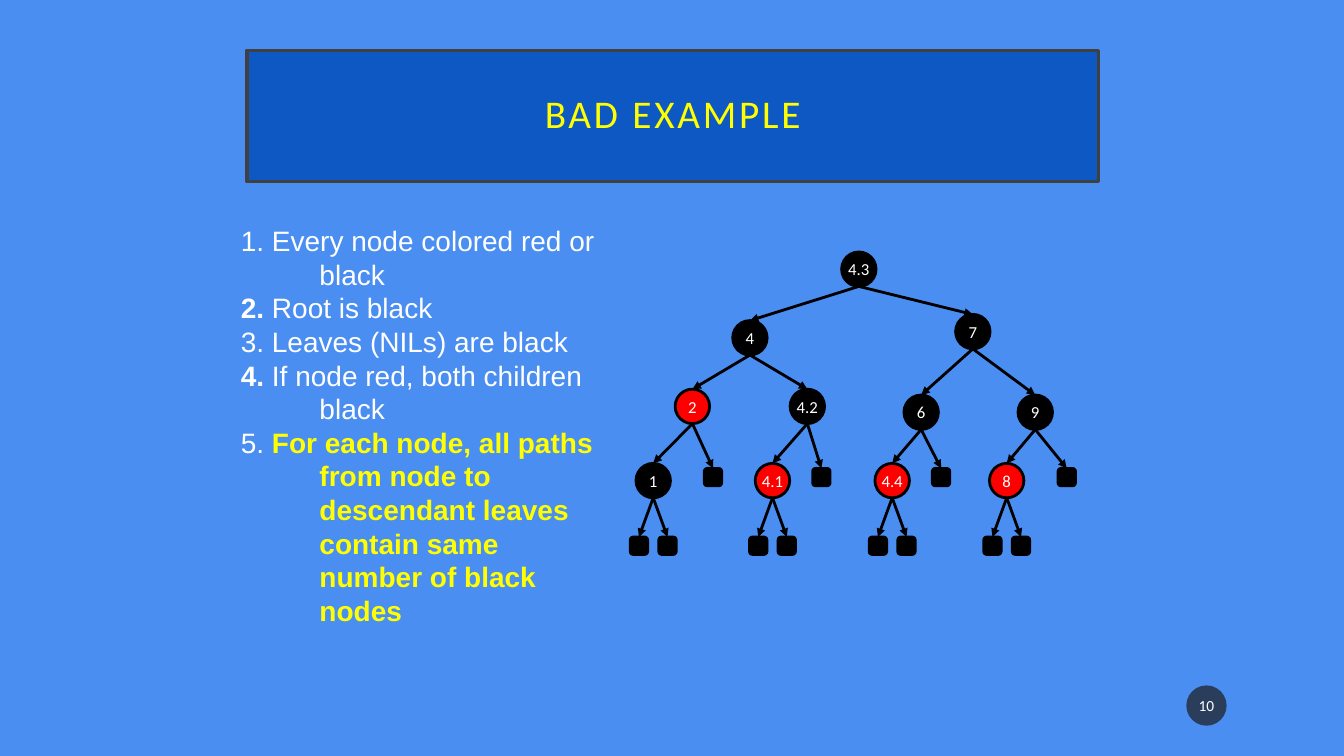
from lxml import etree
from pptx import Presentation
from pptx.dml.color import RGBColor
from pptx.enum.shapes import MSO_CONNECTOR, MSO_SHAPE
from pptx.enum.text import MSO_ANCHOR, PP_ALIGN
from pptx.oxml.ns import qn
from pptx.util import Pt

RECTANGLE, ROUNDED, OVAL = MSO_SHAPE.RECTANGLE, MSO_SHAPE.ROUNDED_RECTANGLE, MSO_SHAPE.OVAL
STRAIGHT = MSO_CONNECTOR.STRAIGHT
MIDDLE, TOP = MSO_ANCHOR.MIDDLE, MSO_ANCHOR.TOP
CENTER, LEFT = PP_ALIGN.CENTER, PP_ALIGN.LEFT

BLACK, RED, WHITE, YELLOW = "000000", "FF0000", "FFFFFF", "FFFF00"
NODE_SIZE, LEAF_SIZE = 24.6, 12.4

# Tree nodes: label, centre x, top, fill
NODES = [
    ("4.3", 613.5, 180, BLACK),
    ("4", 535.7, 229, BLACK), ("7", 694.9, 224.6, BLACK),
    ("2", 494.6, 278, RED), ("4.2", 576.7, 278, BLACK),
    ("6", 658, 282.2, BLACK), ("9", 739.5, 282.2, BLACK),
    ("1", 466.6, 331, BLACK), ("4.1", 551.8, 331, RED),
    ("4.4", 637.3, 331, RED), ("8", 719.1, 331, RED),
]
EDGES = [("4.3", "4"), ("4.3", "7"), ("4", "2"), ("4", "4.2"), ("7", "6"),
         ("7", "9"), ("2", "1"), ("4.2", "4.1"), ("6", "4.4"), ("9", "8")]

# Empty leaves: parent, centre x, top
LEAVES = [("2", 509.3, 334.6), ("4.2", 586.7, 334.6),
          ("6", 672.2, 334.6), ("9", 762, 334.6)]
BOTTOM_PARENTS = ("1", "4.1", "4.4", "8")
BOTTOM_LEAF_TOP, BOTTOM_LEAF_OFFSET = 383.6, 10.2

# Rules: spans of text with their own format
RULES = [
    [("1. Every node colored red or black", {})],
    [("2. ", {"bold": True}), ("Root is black", {})],
    [("3. Leaves (NILs) are black", {})],
    [("4. ", {"bold": True}), ("If node red, both children black", {})],
    [("5. ", {}),
     ("For each node, all paths from node to descendant leaves contain "
      "same number of black nodes", {"bold": True, "color": YELLOW})],
]


def rgb(value):
    return RGBColor.from_string(value)


def write(para, text, font="Calibri", size=12, color=WHITE, bold=False, tracking=0):
    span = para.add_run()
    span.text = text
    span.font.name = font
    span.font.size = Pt(size)
    span.font.bold = bold
    span.font.color.rgb = rgb(color)
    if tracking:
        span.font._element.set("spc", str(tracking * 100))


class TreeSlide:
    """Holds the page and the style shared by its elements."""

    def __init__(self, page, background, line_width=2):
        self.page = page
        self.line_width = line_width
        page.background.fill.solid()
        page.background.fill.fore_color.rgb = rgb(background)

    def shape(self, kind, left, top, width, height, fill, line=None, line_width=None):
        box = self.page.shapes.add_shape(kind, Pt(left), Pt(top), Pt(width), Pt(height))
        box.shadow.inherit = False
        box.fill.solid()
        box.fill.fore_color.rgb = rgb(fill)
        if line:
            box.line.color.rgb = rgb(line)
            box.line.width = Pt(line_width or self.line_width)
        else:
            box.line.fill.background()
        return box

    def frame(self, box, margins=(7.2, 3.6), anchor=MIDDLE, wrap=True):
        frame = box.text_frame
        frame.margin_left = frame.margin_right = Pt(margins[0])
        frame.margin_top = frame.margin_bottom = Pt(margins[1])
        frame.vertical_anchor = anchor
        frame.word_wrap = wrap
        return frame

    def label(self, box, text, margins=(7.2, 3.6), wrap=True, spacing=1.0, **style):
        para = self.frame(box, margins, wrap=wrap).paragraphs[0]
        para.alignment = CENTER
        para.line_spacing = spacing
        write(para, text, **style)

    def node(self, text, center, top, fill):
        box = self.shape(OVAL, center - NODE_SIZE / 2, top, NODE_SIZE, NODE_SIZE, fill, BLACK)
        self.label(box, text, wrap=False)
        return box

    def leaf(self, center, top):
        return self.shape(ROUNDED, center - LEAF_SIZE / 2, top, LEAF_SIZE, LEAF_SIZE,
                          BLACK, BLACK)

    def arrow(self, parent, child):
        start = parent.left + parent.width // 2, parent.top + parent.height
        line = self.page.shapes.add_connector(STRAIGHT, *start, child.left, child.top)
        line.end_connect(child, 0)
        line.line.color.rgb = rgb(BLACK)
        line.line.width = Pt(self.line_width)
        outline = line.line._get_or_add_ln()
        etree.SubElement(outline, qn("a:tailEnd"), type="triangle")
        etree.SubElement(line._element.spPr, qn("a:effectLst"))

    def rules(self, left, top, width, height, rules, indent=56.2):
        box = self.page.shapes.add_textbox(Pt(left), Pt(top), Pt(width), Pt(height))
        frame = self.frame(box, anchor=TOP)
        for index, spans in enumerate(rules):
            para = frame.add_paragraph() if index else frame.paragraphs[0]
            para.alignment = LEFT
            para.line_spacing = Pt(24)
            properties = para._p.get_or_add_pPr()
            properties.set("marL", str(Pt(indent)))
            properties.set("indent", str(-Pt(indent)))
            for text, style in spans:
                write(para, text, font="Arial", size=20, **style)


def main():
    deck = Presentation()
    deck.slide_width, deck.slide_height = Pt(960), Pt(540)
    slide = TreeSlide(deck.slides.add_slide(deck.slide_layouts[6]), "4A8EF2")

    # Page number on a translucent disc
    disc = slide.shape(OVAL, 847.4, 489.6, 28.8, 28.8, "1D1D1D")
    color = disc.fill._xPr.find(qn("a:solidFill"))[0]
    etree.SubElement(color, qn("a:alpha"), val="70000")
    slide.label(disc, "10", margins=(1.4, 3.6), size=11)

    # Title
    title = slide.shape(RECTANGLE, 176.4, 36, 608.4, 93.6, "0E58C4", "404040", 2.5)
    slide.label(title, "BAD EXAMPLE", margins=(14.4, 14.4), spacing=0.9,
                size=28, color=YELLOW, tracking=2)

    # Tree
    nodes = {text: slide.node(text, center, top, fill) for text, center, top, fill in NODES}
    centers = {text: center for text, center, _, _ in NODES}
    bottom = [(parent, centers[parent] + offset, BOTTOM_LEAF_TOP)
              for parent in BOTTOM_PARENTS
              for offset in (-BOTTOM_LEAF_OFFSET, BOTTOM_LEAF_OFFSET)]
    for parent, child in EDGES:
        slide.arrow(nodes[parent], nodes[child])
    for parent, center, top in LEAVES + bottom:
        slide.arrow(nodes[parent], slide.leaf(center, top))

    # Rules
    slide.rules(164.9, 156.2, 272.9, 342, RULES)
    deck.save("out.pptx")


if __name__ == "__main__":
    main()
